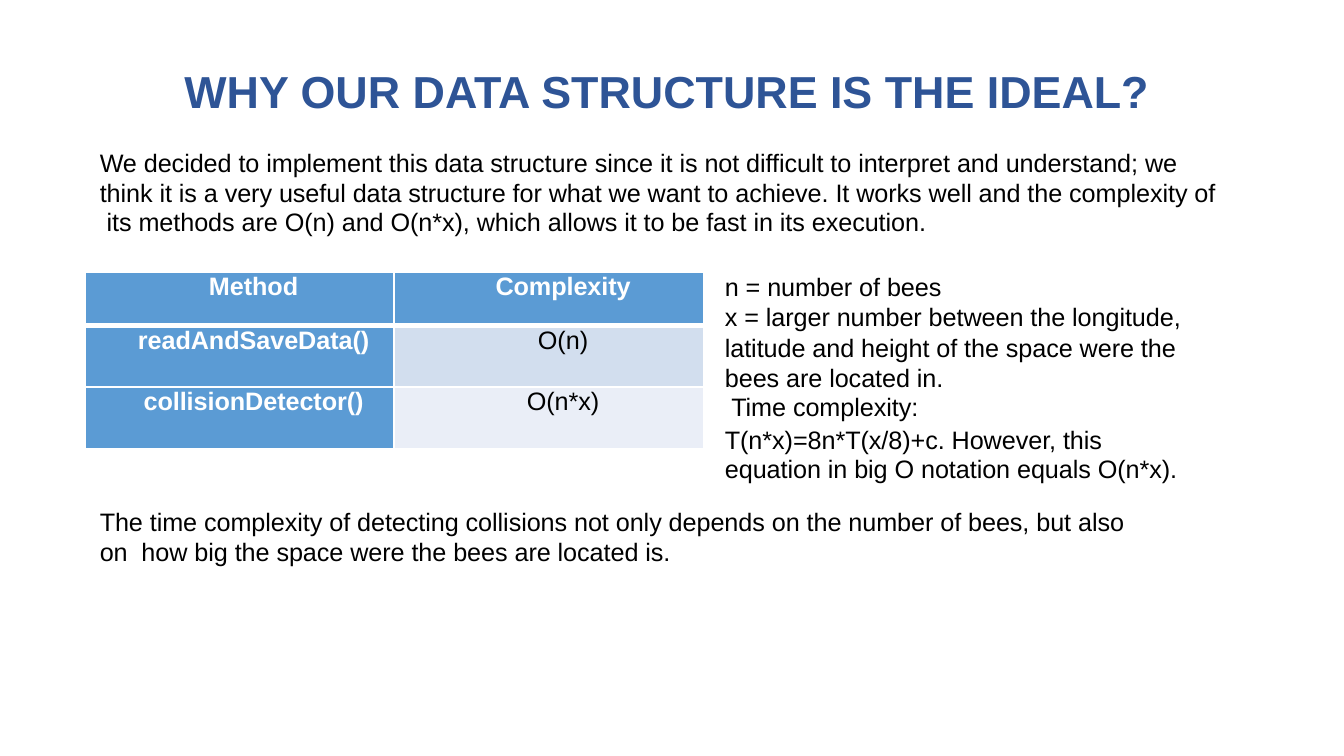
from lxml.etree import SubElement
from pptx import Presentation
from pptx.dml.color import RGBColor as Color
from pptx.enum.text import MSO_ANCHOR as Anchor, PP_ALIGN as Align
from pptx.oxml.ns import qn
from pptx.util import Inches, Pt

COLORS = {
    "title": "2E5496", "text": "000000", "white": "FFFFFF",
    "header": "5B9BD4", "band_dark": "D2DEEE", "band_light": "EAEEF7",
}
FONT = "Arial"

METHODS = [
    ("Method", "Complexity"),
    ("readAndSaveData()", "O(n)"),
    ("collisionDetector()", "O(n*x)"),
]
ROW_HEIGHTS = [0.53, 0.61, 0.61]
VALUE_FILLS = ["header", "band_dark", "band_light"]

# Each entry: text (\v breaks the line), indent in inches,
# line spacing, space before in points
BODY = [
    ("We decided to implement this data structure since it is not difficult "
     "to interpret and understand; we\v"
     "think it is a very useful data structure for what we want to achieve. "
     "It works well and the complexity of\v"
     " its methods are O(n) and O(n*x), which allows it to be fast in its "
     "execution.", 0.01, 0.99, 1.2),
    ("n = number of bees", 6.21, Pt(21.3), 24.5),
    ("x = larger number between the longitude,", 6.21, Pt(21.3), 0),
    ("latitude and height of the space were the", 6.21, Pt(21.3), 0.3),
    ("bees are located in.\v Time complexity:", 6.21, Pt(20.6), 1.2),
    ("T(n*x)=8n*T(x/8)+c. However, this\v"
     "equation in big O notation equals O(n*x).", 6.21, Pt(21), 2.5),
    ("The time complexity of detecting collisions not only depends on the "
     "number of bees, but also\v"
     "on  how big the space were the bees are located is.",
     0.01, Pt(21), 16.9),
]


def write(para, text, size, color, bold=False, indent=0.0, tracking=0):
    para.text = text
    font = para.font
    font.name, font.size, font.bold = FONT, Pt(size), bold
    font.color.rgb = Color.from_string(COLORS[color])
    para._p.get_or_add_pPr().set("marL", str(Inches(indent)))
    for span in para.runs:
        span._r.get_or_add_rPr().set("spc", str(tracking))


def add_text_frame(page, box, top_inset):
    frame = page.shapes.add_textbox(*map(Inches, box)).text_frame
    frame.word_wrap = True
    frame.vertical_anchor = Anchor.TOP
    frame.margin_left = frame.margin_right = frame.margin_bottom = 0
    frame.margin_top = Inches(top_inset)
    return frame


def add_title(page, box):
    para = add_text_frame(page, box, 0.01).paragraphs[0]
    write(para, "WHY OUR DATA STRUCTURE IS THE IDEAL?", 32, "title",
          bold=True, indent=0.01)
    para.space_before = Pt(1.1)


def add_border(cell, side, width):
    line = SubElement(cell._tc.get_or_add_tcPr(), qn(f"a:ln{side}"),
                      w=str(Pt(width)))
    fill = SubElement(line, qn("a:solidFill"))
    SubElement(fill, qn("a:srgbClr"), val=COLORS["white"])


def fill_cell(cell, text, row, column):
    cell.margin_left = cell.margin_right = 0
    cell.margin_top = cell.margin_bottom = 0
    # The rule under the header row is thicker
    widths = {"L": 1.5, "R": 1.5, "T": 4.25 if row == 1 else 1.5,
              "B": 4.25 if row == 0 else 1.5}
    for side, width in widths.items():
        add_border(cell, side, width)
    heading = row == 0 or column == 0
    cell.fill.solid()
    cell.fill.fore_color.rgb = Color.from_string(
        COLORS["header" if heading else VALUE_FILLS[row]])
    para = cell.text_frame.paragraphs[0]
    write(para, text, 18, "white" if heading else "text",
          bold=heading, indent=0.28, tracking=-5)
    para.alignment = Align.CENTER
    para.line_spacing = Pt(20.6)


def add_method_table(page, box):
    table = page.shapes.add_table(
        len(METHODS), len(METHODS[0]), *map(Inches, box)).table
    for column in table.columns:
        column.width = Inches(box[2] / len(METHODS[0]))
    for row, (height, texts) in enumerate(zip(ROW_HEIGHTS, METHODS)):
        table.rows[row].height = Inches(height)
        for column, text in enumerate(texts):
            fill_cell(table.cell(row, column), text, row, column)


def add_body(page, box):
    frame = add_text_frame(page, box, 0.02)
    for index, (text, indent, spacing, before) in enumerate(BODY):
        para = frame.add_paragraph() if index else frame.paragraphs[0]
        write(para, text, 18, "text", indent=indent, tracking=-7)
        para.line_spacing = spacing
        para.space_before = Pt(before)


deck = Presentation()
deck.slide_width, deck.slide_height = Inches(13.33), Inches(7.5)
page = deck.slides.add_slide(deck.slide_layouts[6])
add_title(page, (1.82, 0.62, 9.67, 0.56))
add_method_table(page, (0.84, 2.7, 6.14, sum(ROW_HEIGHTS)))
add_body(page, (0.98, 1.45, 11.2, 4.17))
deck.save("out.pptx")
